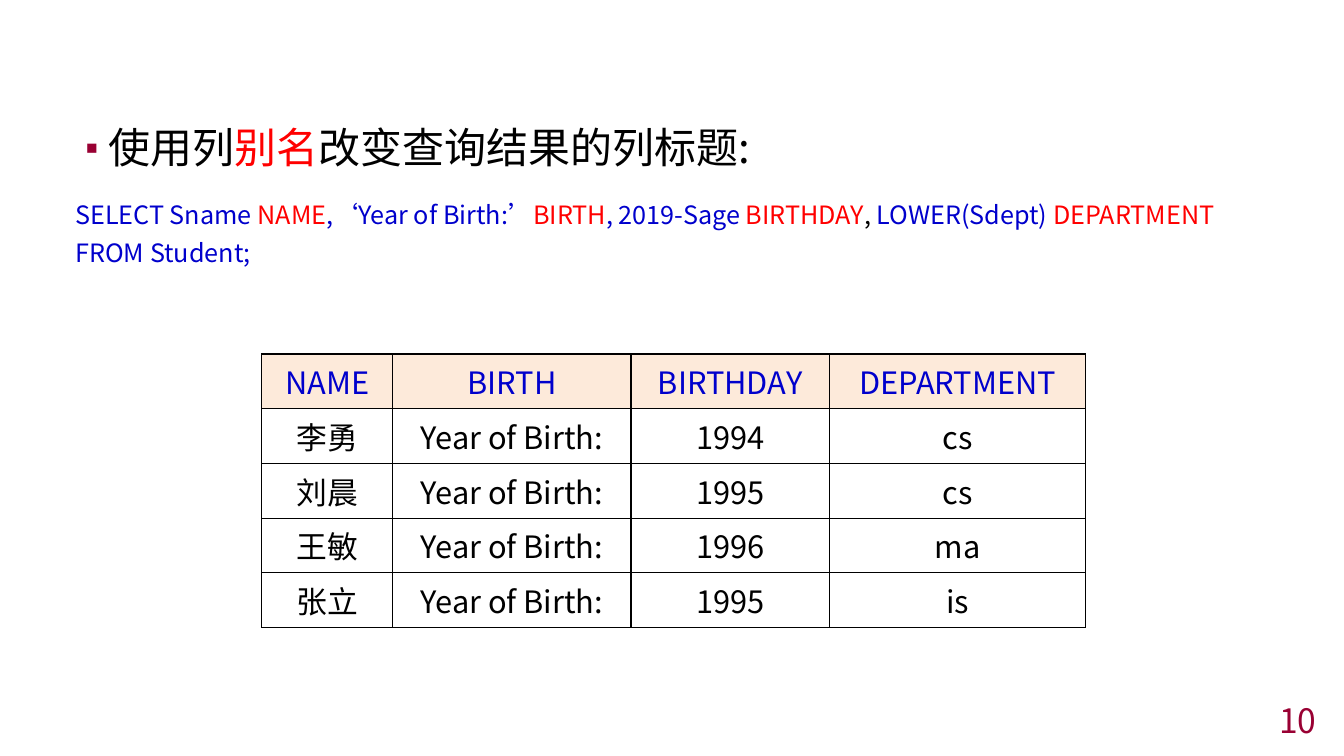
from lxml import etree
from pptx import Presentation, util as u
from pptx.dml.color import RGBColor
from pptx.enum import text
from pptx.oxml import ns

# Content
HEADING = [("使用列", "black"), ("别名", "red"), ("改变查询结果的列标题:", "black")]
QUERY = [
    [("SELECT Sname ", "blue"), ("NAME", "red"), (",‘Year of Birth:’", "blue"),
     ("BIRTH", "red"), (", 2019-Sage ", "blue"), ("BIRTHDAY", "red"), (", ", "black"),
     ("LOWER(Sdept) ", "blue"), ("DEPARTMENT", "red")],
    [("FROM Student;", "blue")],
]
RESULT = [
    ("NAME", "BIRTH", "BIRTHDAY", "DEPARTMENT"),
    ("李勇", "Year of Birth:", "1994", "cs"),
    ("刘晨", "Year of Birth:", "1995", "cs"),
    ("王敏", "Year of Birth:", "1996", "ma"),
    ("张立", "Year of Birth:", "1995", "is"),
]
PAGE_NUMBER = "10"

# Style
FONT = "Noto Sans CJK SC"
COLOURS = {"black": "000000", "red": "FF0000", "blue": "0000CC",
           "wine": "990033", "peach": "FDEADA"}
COLUMN_WIDTHS = [3.3, 6, 5, 6.46]
ROW_HEIGHT = 1.38
INDENT = u.Cm(0.74)


def add_span(para, words, size, colour):
    span = para.add_run()
    span.text = words
    span.font.size = u.Pt(size)
    span.font.name = FONT
    span.font.color.rgb = RGBColor.from_string(COLOURS[colour])
    properties = span.font._element
    properties.set("lang", "zh-CN")
    etree.SubElement(properties, ns.qn("a:ea"), typeface=FONT)


def add_box(page, left, top, width, height):
    box = page.shapes.add_textbox(u.Cm(left), u.Cm(top), u.Cm(width), u.Cm(height))
    box.text_frame.word_wrap = True
    return box.text_frame


def add_bullet(para):
    properties = para._p.get_or_add_pPr()
    properties.set("marL", str(INDENT))
    properties.set("indent", str(-INDENT))
    colour = etree.SubElement(properties, ns.qn("a:buClr"))
    etree.SubElement(colour, ns.qn("a:srgbClr"), val=COLOURS["wine"])
    etree.SubElement(properties, ns.qn("a:buSzPct"), val="80000")
    etree.SubElement(properties, ns.qn("a:buFont"), typeface=FONT)
    etree.SubElement(properties, ns.qn("a:buChar"), char="▪")


def add_borders(cell):
    properties = cell._tc.get_or_add_tcPr()
    for index, side in enumerate(("lnL", "lnR", "lnT", "lnB")):
        line = etree.Element(ns.qn("a:" + side), w=str(u.Pt(1)))
        fill = etree.SubElement(line, ns.qn("a:solidFill"))
        etree.SubElement(fill, ns.qn("a:srgbClr"), val=COLOURS["black"])
        properties.insert(index, line)


deck = Presentation()
deck.slide_width, deck.slide_height = u.Cm(33.87), u.Cm(19.05)
page = deck.slides.add_slide(deck.slide_layouts[6])

# Heading and query
body = add_box(page, 1.65, 2.93, 30.53, 15.2)
heading = body.paragraphs[0]
heading.alignment = text.PP_ALIGN.JUSTIFY
add_bullet(heading)
for words, colour in HEADING:
    add_span(heading, words, 30, colour)
for line, gap in zip(QUERY, (20, 5.2)):
    para = body.add_paragraph()
    para.space_before = u.Pt(gap)
    for words, colour in line:
        add_span(para, words, 18, colour)

# Page number
number = add_box(page, 26.24, 17.75, 7.19, 0.8)
number.vertical_anchor = text.MSO_ANCHOR.MIDDLE
number.paragraphs[0].alignment = text.PP_ALIGN.RIGHT
add_span(number.paragraphs[0], PAGE_NUMBER, 24, "wine")

# Query result
table = page.shapes.add_table(
    len(RESULT), len(COLUMN_WIDTHS), u.Cm(6.6), u.Cm(8.92),
    u.Cm(sum(COLUMN_WIDTHS)), u.Cm(ROW_HEIGHT * len(RESULT))).table
for column, width in zip(table.columns, COLUMN_WIDTHS):
    column.width = u.Cm(width)
for row_index, values in enumerate(RESULT):
    is_header = row_index == 0
    table.rows[row_index].height = u.Cm(ROW_HEIGHT)
    for column_index, value in enumerate(values):
        cell = table.cell(row_index, column_index)
        if is_header:
            cell.fill.solid()
            cell.fill.fore_color.rgb = RGBColor.from_string(COLOURS["peach"])
        else:
            cell.fill.background()
        add_borders(cell)
        para = cell.text_frame.paragraphs[0]
        para.alignment = text.PP_ALIGN.CENTER
        add_span(para, value, 22, "blue" if is_header else "black")
        # Keep the header as plain weight despite the table style
        para.runs[0].font.bold = False

deck.save("out.pptx")
